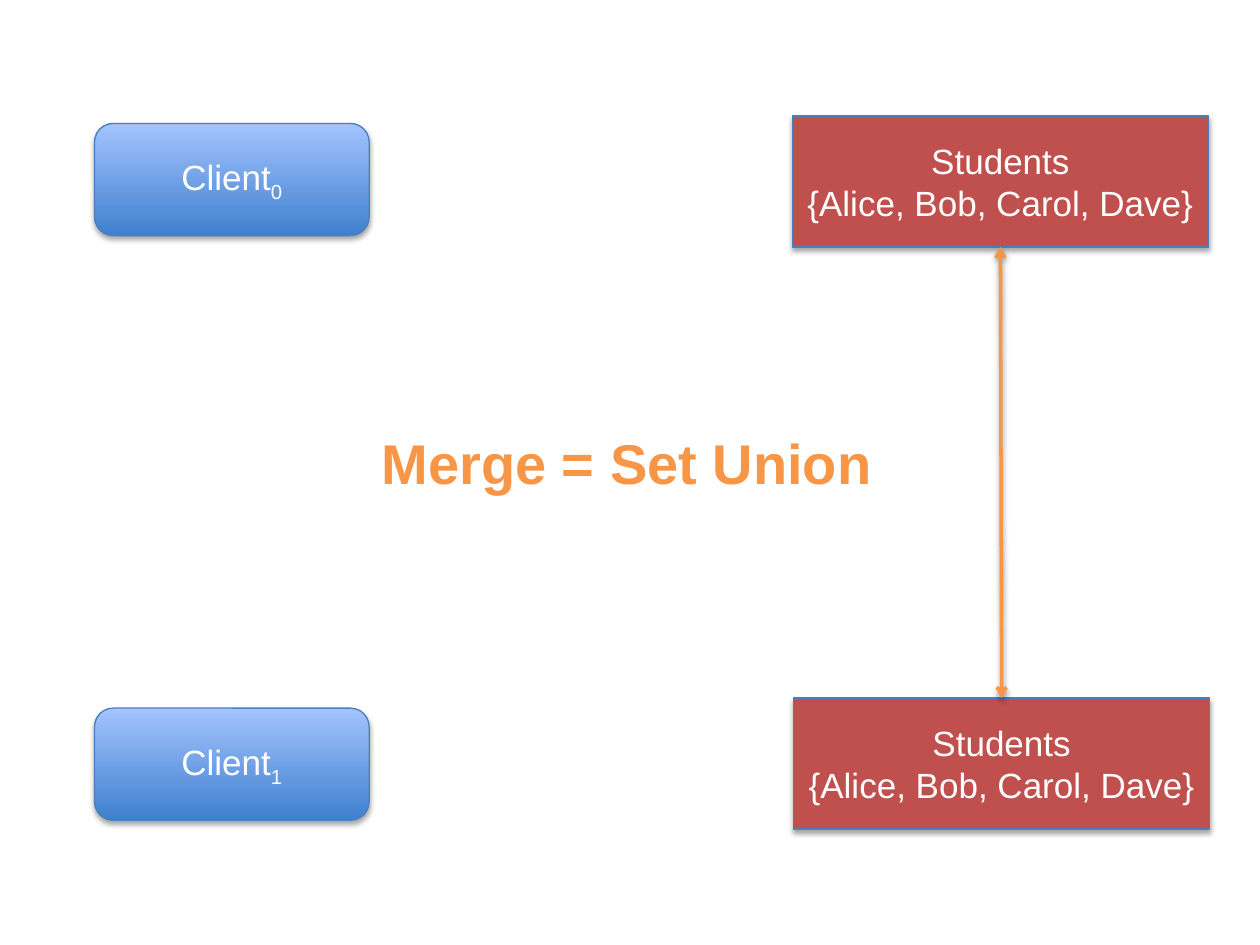
"""Build a slide of two clients and two replicas merged by set union."""
from dataclasses import dataclass

import pptx
import pptx.dml.color
import pptx.enum.shapes
import pptx.enum.text
import pptx.oxml
import pptx.oxml.ns
import pptx.util

HUES = {
    "red": "C0504D", "edge": "4B7EBC", "deep": "3F80CE", "pale": "A4C4FF",
    "gold": "F79646", "white": "FFFFFF", "black": "000000",
}
FONT = "Arial"
COLS = 100
KINDS = pptx.enum.shapes.MSO_SHAPE
WIDE, HIGH = pptx.util.Inches(10), pptx.util.Inches(7.5)


@dataclass(frozen=True)
class Box:
    """A labelled box placed on the grid."""
    text: str
    col: float
    row: float
    cols: float
    rows: float
    sub: str = ""


STORE = "Students\n{Alice, Bob, Carol, Dave}"
STORES = [Box(STORE, 63, 55.4, 33, 10.4), Box(STORE, 62.9, 9.2, 33, 10.4)]
NODES = [Box("Client", 7.5, row, 21.8, 8.9, sub)
         for row, sub in ((9.8, "0"), (56.2, "1"))]
TITLE = Box("Merge = Set Union", 29.3, 33.5, 41.7, 6.4)


def hue(name: str) -> pptx.dml.color.RGBColor:
    """Look up a colour by name."""
    return pptx.dml.color.RGBColor.from_string(HUES[name])


def span(units: float) -> pptx.util.Emu:
    """Turn grid units into a length."""
    return pptx.util.Emu(round(WIDE * units / COLS))


def place(box: Box) -> list[pptx.util.Emu]:
    """Give the left, top, width and height of a box."""
    return [span(n) for n in (box.col, box.row, box.cols, box.rows)]


def shade(props, alpha: int, dist: float) -> None:
    """Append a soft drop shadow to shape properties."""
    space = pptx.oxml.ns.nsdecls("a")
    blur, drop = pptx.util.Pt(3.1), pptx.util.Pt(dist)
    props.append(pptx.oxml.parse_xml(
        f'<a:effectLst {space}><a:outerShdw blurRad="{blur}" dist="{drop}" '
        f'dir="5400000" rotWithShape="0"><a:srgbClr val="{HUES["black"]}">'
        f'<a:alpha val="{alpha * 1000}"/></a:srgbClr></a:outerShdw></a:effectLst>'))


def style(run, size: int, tint: str, bold: bool = False) -> None:
    """Set the font of a run."""
    run.font.name, run.font.size, run.font.bold = FONT, pptx.util.Pt(size), bold
    run.font.color.rgb = hue(tint)


def draw(slide, box: Box, kind: KINDS):
    """Draw a box with its border, shadow and centred label."""
    shape = slide.shapes.add_shape(kind, *place(box))
    shape.line.color.rgb = hue("edge")
    shape.line.width = pptx.util.Pt(0.75)
    frame = shape.text_frame
    frame.vertical_anchor = pptx.enum.text.MSO_ANCHOR.MIDDLE
    para = frame.paragraphs[0]
    para.text = box.text
    para.alignment = pptx.enum.text.PP_ALIGN.CENTER
    if box.sub:
        low = para.add_run()
        low.text = box.sub
        low._r.get_or_add_rPr().set("baseline", "-25000")
    for run in para.runs:
        style(run, 20, "white")
    return shape


def store(slide, box: Box):
    """Draw a replica holding the set."""
    shape = draw(slide, box, KINDS.RECTANGLE)
    shape.fill.solid()
    shape.fill.fore_color.rgb = hue("red")
    shade(shape._element.spPr, 35, 1.8)
    return shape


def node(slide, box: Box) -> None:
    """Draw a client with a gradient fill."""
    shape = draw(slide, box, KINDS.ROUNDED_RECTANGLE)
    shape.fill.gradient()
    shape.fill.gradient_angle = 90
    for stop, tint, spot in zip(shape.fill.gradient_stops, ("deep", "pale"), (0, 1)):
        stop.color.rgb, stop.position = hue(tint), spot
    shade(shape._element.spPr, 35, 1.8)


def link(slide, top, low) -> None:
    """Join two replicas with a double arrow."""
    line = slide.shapes.add_connector(
        pptx.enum.shapes.MSO_CONNECTOR.STRAIGHT, 0, 0, 0, 0)
    line.begin_connect(top, 2)
    line.end_connect(low, 0)
    line.line.color.rgb = hue("gold")
    line.line.width = pptx.util.Pt(2)
    edge = line.line._get_or_add_ln()
    for end in ("headEnd", "tailEnd"):
        edge.append(pptx.oxml.parse_xml(
            f'<a:{end} {pptx.oxml.ns.nsdecls("a")} type="arrow"/>'))
    shade(line._element.spPr, 38, 1.6)


def label(slide, box: Box) -> None:
    """Write the merge rule."""
    frame = slide.shapes.add_textbox(*place(box)).text_frame
    frame.word_wrap = False
    frame.auto_size = pptx.enum.text.MSO_AUTO_SIZE.SHAPE_TO_FIT_TEXT
    frame.text = box.text
    style(frame.paragraphs[0].runs[0], 32, "gold", True)


def main() -> None:
    """Build and save the slide."""
    deck = pptx.Presentation()
    deck.slide_width, deck.slide_height = WIDE, HIGH
    slide = deck.slides.add_slide(deck.slide_layouts[6])
    low, top = [store(slide, box) for box in STORES]
    for box in NODES:
        node(slide, box)
    link(slide, top, low)
    label(slide, TITLE)
    deck.save("out.pptx")


if __name__ == "__main__":
    main()
